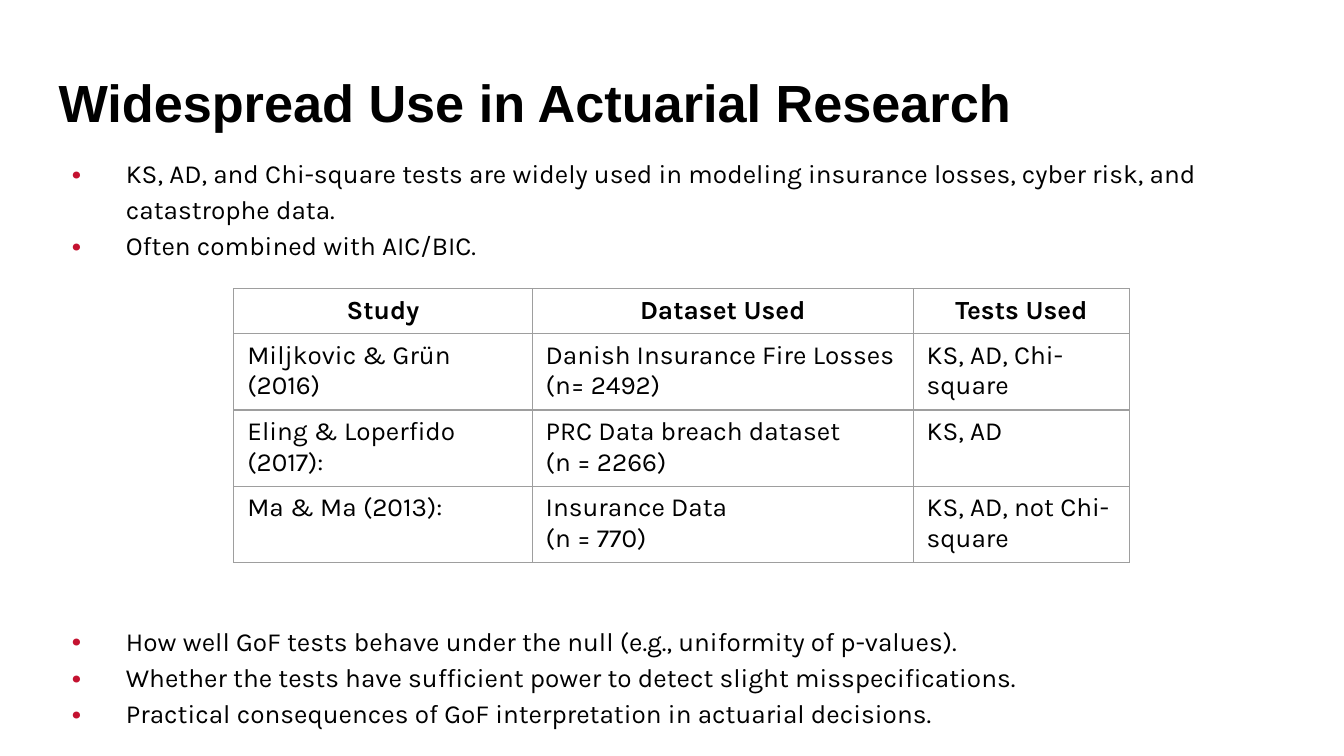
from lxml.etree import SubElement
from pptx import Presentation
from pptx.enum.text import PP_ALIGN
from pptx.dml.color import RGBColor
from pptx.oxml.ns import qn
from pptx.util import Cm, Pt

COLOURS = {"text": "000000", "bullet": "C41230", "border": "9E9E9E"}
OPENING_POINTS = [
    "KS, AD, and Chi-square tests are widely used in modeling insurance losses, "
    "cyber risk, and catastrophe data.",
    "Often combined with AIC/BIC.",
]
CLOSING_POINTS = [
    "How well GoF tests behave under the null (e.g., uniformity of p-values).",
    "Whether the tests have sufficient power to detect slight misspecifications.",
    "Practical consequences of GoF interpretation in actuarial decisions.",
]
STUDIES = [
    ["Study", "Dataset Used", "Tests Used"],
    ["Miljkovic & Grün (2016)", "Danish Insurance Fire Losses\n(n= 2492)", "KS, AD, Chi-square"],
    ["Eling & Loperfido (2017):", "PRC Data breach dataset\n(n = 2266)", "KS, AD"],
    ["Ma & Ma (2013):", "Insurance Data\n(n = 770)", "KS, AD, not Chi-square"],
]


def write(para, text, font="Karla", size=14, bold=False, align=PP_ALIGN.LEFT):
    para.alignment = align
    span = para.add_run()
    span.text = text
    span.font.name = font
    span.font.size = Pt(size)
    span.font.bold = bold
    span.font.color.rgb = RGBColor.from_string(COLOURS["text"])


class SlideBuilder:
    """Hold the slide and its shared style, and add each kind of element."""

    margin = Cm(0.25)
    left = Cm(0.86)

    def __init__(self, page):
        self.page = page

    def text_frame(self, top, width, height):
        frame = self.page.shapes.add_textbox(self.left, top, width, height).text_frame
        frame.word_wrap = True
        frame.margin_left = frame.margin_right = self.margin
        frame.margin_top = frame.margin_bottom = self.margin
        return frame

    def paragraphs(self, frame, lines):
        for index, line in enumerate(lines):
            yield frame.add_paragraph() if index else frame.paragraphs[0], line

    def title(self, text, top, width, height):
        frame = self.text_frame(top, width, height)
        write(frame.paragraphs[0], text, font="Arial", size=28, bold=True)

    def bullets(self, points, top, width, height):
        frame = self.text_frame(top, width, height)
        for para, point in self.paragraphs(frame, points):
            para.line_spacing = 1.15
            properties = para._p.get_or_add_pPr()
            properties.set("marL", str(Cm(1.27)))
            properties.set("indent", str(Cm(-1.02)))
            colour = SubElement(properties, qn("a:buClr"))
            SubElement(colour, qn("a:srgbClr"), val=COLOURS["bullet"])
            SubElement(properties, qn("a:buSzPct"), val="129000")
            SubElement(properties, qn("a:buFont"), typeface="Karla")
            SubElement(properties, qn("a:buChar"), char="•")
            write(para, point)

    def borders(self, cell):
        properties = cell._tc.get_or_add_tcPr()
        for side in ("lnL", "lnR", "lnT", "lnB"):
            line = SubElement(properties, qn(f"a:{side}"), w=str(Pt(0.75)))
            fill = SubElement(line, qn("a:solidFill"))
            SubElement(fill, qn("a:srgbClr"), val=COLOURS["border"])

    def table(self, rows, left, top, widths, heights):
        table = self.page.shapes.add_table(
            len(rows), len(widths), left, top, sum(widths), sum(heights)
        ).table
        table.first_row = table.horz_banding = False
        for column, width in zip(table.columns, widths):
            column.width = width
        for index, (row, height) in enumerate(zip(table.rows, heights)):
            row.height = height
            header = index == 0
            align = PP_ALIGN.CENTER if header else PP_ALIGN.LEFT
            for cell, text in zip(row.cells, rows[index]):
                self.borders(cell)
                cell.fill.background()
                for para, line in self.paragraphs(cell.text_frame, text.split("\n")):
                    write(para, line, bold=header, align=align)


def main():
    deck = Presentation()
    deck.slide_width, deck.slide_height = Cm(25.4), Cm(14.29)
    builder = SlideBuilder(deck.slides.add_slide(deck.slide_layouts[6]))
    builder.title("Widespread Use in Actuarial Research", Cm(1.07), Cm(23.67), Cm(1.6))
    builder.bullets(OPENING_POINTS, Cm(2.64), Cm(24.03), Cm(2.6))
    builder.table(
        STUDIES, Cm(4.42), Cm(5.46),
        widths=[Cm(5.64), Cm(7.2), Cm(4.09)],
        heights=[Cm(0.83)] + [Cm(1.4)] * 3,
    )
    builder.bullets(CLOSING_POINTS, Cm(11.48), Cm(24.03), Cm(2.6))
    deck.save("out.pptx")


if __name__ == "__main__":
    main()
